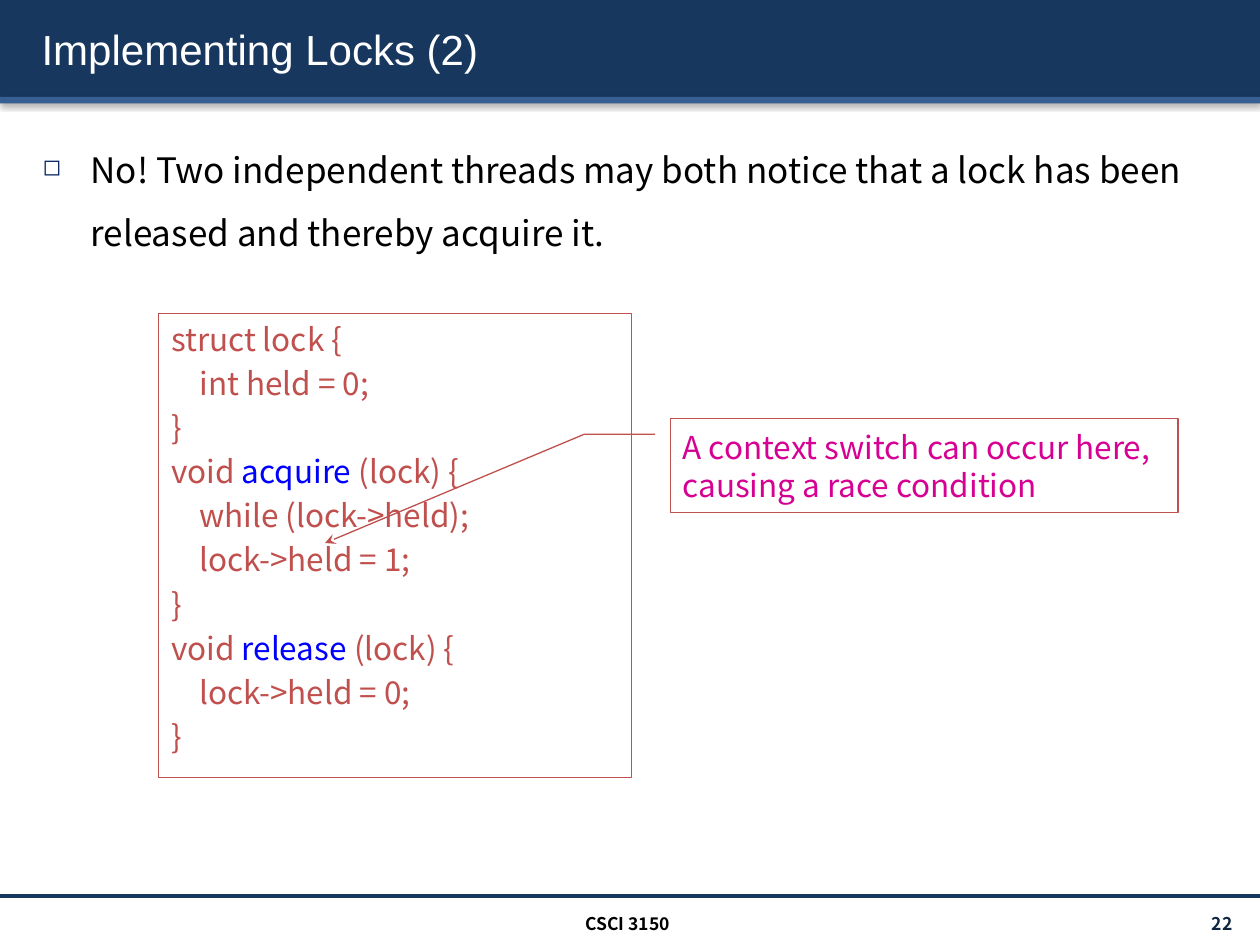
from dataclasses import dataclass

from lxml.etree import SubElement
from pptx import Presentation
from pptx.dml.color import RGBColor
from pptx.enum.shapes import MSO_CONNECTOR, MSO_SHAPE
from pptx.enum.text import MSO_ANCHOR, MSO_AUTO_SIZE, PP_ALIGN
from pptx.oxml import parse_xml
from pptx.oxml.ns import nsdecls, qn
from pptx.util import Inches, Pt


@dataclass(frozen=True)
class Theme:
    heading_font: str = "Arial"
    body_font: str = "Noto Sans CJK KR"
    navy: str = "17375E"
    steel: str = "376092"
    bullet: str = "002060"
    white: str = "FFFFFF"
    black: str = "000000"
    page: str = "0F243E"
    code: str = "C0504D"
    keyword: str = "0000FF"
    remark: str = "D60093"
    title_size: int = 24
    body_size: int = 20
    code_size: int = 18
    footer_size: int = 10


THEME = Theme()

TITLE = "Implementing Locks (2)"
ANSWER = ("No! Two independent threads may both notice that a lock has been "
          "released and thereby acquire it.")
CODE = [
    "struct lock {",
    "    int held = 0;",
    "}",
    "void acquire (lock) {",
    "    while (lock->held);",
    "    lock->held = 1;",
    "}",
    "void release (lock) {",
    "    lock->held = 0;",
    "}",
]
KEYWORDS = ("acquire", "release")
REMARK = "A context switch can occur here, causing a race condition"
COURSE = "CSCI 3150"
PAGE = "22"

# Left, top, width, height in percent of the slide
BANDS = [
    ((0, 0, 100, 10.27), THEME.navy),
    ((0, 10.27, 100, 0.67), THEME.steel),
]
TITLE_AREA = (2.3, 0.93, 96.1, 8.53)
ANSWER_AREA = (2.4, 12.8, 94.7, 22.4)
CODE_AREA = (12.6, 33.2, 37.5, 49.07)
REMARK_AREA = (53.2, 44.27, 40.3, 10)
COURSE_AREA = (33.2, 96, 33.2, 3.2)
PAGE_AREA = (87.1, 96.13, 11.7, 3.2)
FOOTER_RULE = (0, 94.8, 100, 0)
# Leader points as (y, x) shares of the remark's box
LEADER = [(0.17, -0.03), (0.17, -0.17), (1.32, -0.68)]

presentation = Presentation()
presentation.slide_width, presentation.slide_height = Inches(10), Inches(7.5)
slide = presentation.slides.add_slide(presentation.slide_layouts[5])
shapes = slide.shapes


def place(area):
    sides = (presentation.slide_width, presentation.slide_height) * 2
    return [round(side * share / 100) for side, share in zip(sides, area)]


def color(value):
    return RGBColor.from_string(value)


def drop_shadow():
    return parse_xml(
        f'<a:effectLst {nsdecls("a")}><a:outerShdw blurRad="40000" dist="20000" '
        'dir="5400000" rotWithShape="0"><a:srgbClr val="000000">'
        '<a:alpha val="38000"/></a:srgbClr></a:outerShdw></a:effectLst>')


def add_run(paragraph, text, size, ink, face=THEME.body_font, bold=False):
    run = paragraph.add_run()
    run.text = text
    for name, value in {"name": face, "size": Pt(size), "bold": bold}.items():
        setattr(run.font, name, value)
    run.font.color.rgb = color(ink)
    return run


def prepare(frame, anchor=MSO_ANCHOR.TOP, align=PP_ALIGN.LEFT):
    """Set the frame's layout and return its first paragraph."""
    settings = {"word_wrap": True, "auto_size": MSO_AUTO_SIZE.NONE,
                "vertical_anchor": anchor}
    for name, value in settings.items():
        setattr(frame, name, value)
    frame.paragraphs[0].alignment = align
    return frame.paragraphs[0]


def add_outlined(kind, area):
    outlined = shapes.add_shape(kind, *place(area))
    outlined.shadow.inherit = False
    outlined.fill.background()
    outlined.line.color.rgb = color(THEME.code)
    outlined.line.width = Pt(0.75)
    return outlined


def add_bands():
    for area, fill in BANDS:
        band = shapes.add_shape(MSO_SHAPE.RECTANGLE, *place(area))
        band.fill.solid()
        band.fill.fore_color.rgb = color(fill)
        band.line.fill.background()
        band._element.spPr.append(drop_shadow())


def add_footer():
    left, top, width, _ = place(FOOTER_RULE)
    rule = shapes.add_connector(MSO_CONNECTOR.STRAIGHT, left, top, left + width, top)
    rule.line.color.rgb = color(THEME.navy)
    rule.line.width = Pt(2)
    SubElement(rule._element.spPr, qn("a:effectLst"))
    for text, area, anchor, align, ink in [
        (PAGE, PAGE_AREA, MSO_ANCHOR.MIDDLE, PP_ALIGN.RIGHT, THEME.page),
        (COURSE, COURSE_AREA, MSO_ANCHOR.TOP, PP_ALIGN.CENTER, THEME.black),
    ]:
        label = shapes.add_textbox(*place(area))
        add_run(prepare(label.text_frame, anchor, align), text,
                THEME.footer_size, ink, bold=True)


def set_title():
    title = shapes.title
    title.left, title.top, title.width, title.height = place(TITLE_AREA)
    shapes._spTree.append(title._element)  # in front of the bands
    run = add_run(prepare(title.text_frame, MSO_ANCHOR.MIDDLE), TITLE,
                  THEME.title_size, THEME.white, THEME.heading_font)
    run._r.rPr.find(qn("a:latin")).addprevious(drop_shadow())


def add_answer():
    answer = shapes.add_textbox(*place(ANSWER_AREA))
    paragraph = prepare(answer.text_frame)
    paragraph.line_spacing = 1.5
    properties = paragraph._p.get_or_add_pPr()
    indent = Inches(0.38)
    properties.set("marL", str(indent))
    properties.set("indent", str(-indent))
    tint = SubElement(properties, qn("a:buClr"))
    SubElement(tint, qn("a:srgbClr"), val=THEME.bullet)
    SubElement(properties, qn("a:buSzPct"), val="65000")
    SubElement(properties, qn("a:buChar"), char="◻")
    add_run(paragraph, ANSWER, THEME.body_size, THEME.black)


def add_code():
    frame = add_outlined(MSO_SHAPE.RECTANGLE, CODE_AREA).text_frame
    paragraph = prepare(frame)
    for number, line in enumerate(CODE):
        if number:
            paragraph = frame.add_paragraph()
            paragraph.alignment = PP_ALIGN.LEFT
            paragraph.space_before = Pt(0.2 * THEME.code_size)
        keyword = next((word for word in KEYWORDS if word in line), "")
        before, found, after = line.partition(keyword) if keyword else (line, "", "")
        for text, ink in [(before, THEME.code), (found, THEME.keyword),
                          (after, THEME.code)]:
            if text:
                add_run(paragraph, text, THEME.code_size, ink)


def add_remark():
    remark = add_outlined(MSO_SHAPE.LINE_CALLOUT_2, REMARK_AREA)
    for index, share in enumerate(share for point in LEADER for share in point):
        remark.adjustments[index] = share
    SubElement(remark.line._get_or_add_ln(), qn("a:tailEnd"), type="stealth")
    add_run(prepare(remark.text_frame, MSO_ANCHOR.MIDDLE), REMARK,
            THEME.code_size, THEME.remark)


add_bands()
add_footer()
set_title()
add_answer()
add_code()
add_remark()
presentation.save("out.pptx")
